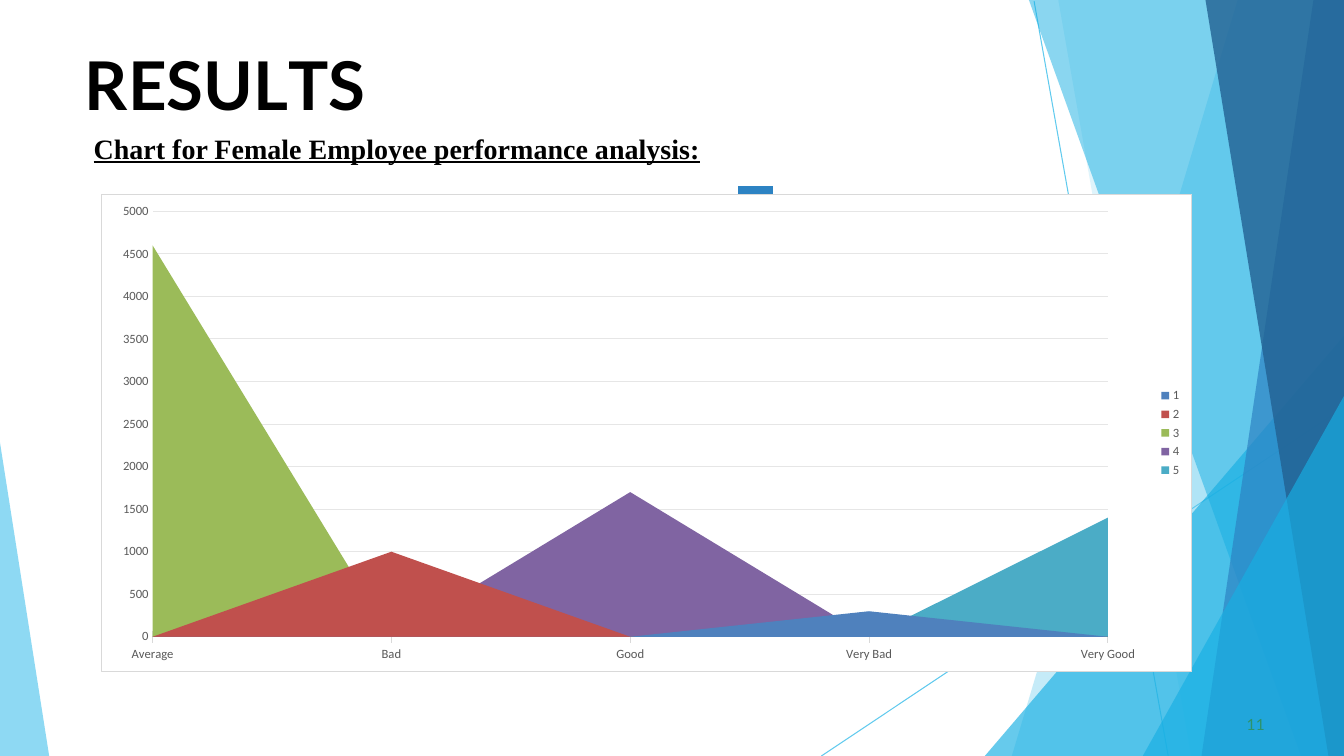
from dataclasses import dataclass

from lxml.etree import SubElement
from pptx import Presentation
from pptx.chart.data import CategoryChartData
from pptx.dml.color import RGBColor
from pptx.enum.chart import XL_CHART_TYPE as ChartType
from pptx.enum.chart import XL_LEGEND_POSITION as LegendPosition
from pptx.enum.chart import XL_TICK_MARK as TickMark
from pptx.enum.shapes import MSO_CONNECTOR as Connector
from pptx.enum.text import MSO_AUTO_SIZE as AutoSize
from pptx.oxml import parse_xml
from pptx.oxml.ns import nsdecls, qn
from pptx.util import Cm, Pt

BLACK = RGBColor(0x00, 0x00, 0x00)
WHITE = RGBColor(0xFF, 0xFF, 0xFF)
SKY = RGBColor(0x5F, 0xCA, 0xEE)
CYAN = RGBColor(0x17, 0xAF, 0xE3)
BLUE = RGBColor(0x2D, 0x83, 0xC3)
NAVY = RGBColor(0x22, 0x61, 0x92)
GREEN = RGBColor(0x2D, 0x93, 0x6B)
LABEL_GREY = RGBColor(0x59, 0x59, 0x59)
BORDER_GREY = RGBColor(0xD9, 0xD9, 0xD9)
GRID_GREY = RGBColor(0xE6, 0xE6, 0xE6)

WIDTH, HEIGHT = 33.87, 19.05
BOTTOM_RIGHT = (WIDTH, HEIGHT)
TOP_RIGHT = (WIDTH, 0)


@dataclass(frozen=True)
class Ray:
    start: tuple[float, float]
    end: tuple[float, float]


@dataclass(frozen=True)
class Facet:
    points: tuple[tuple[float, float], ...]
    color: RGBColor
    opacity: int


@dataclass(frozen=True)
class Rating:
    name: str
    category: str
    count: int
    color: RGBColor


RAYS = (
    Ray((26.06, 0.03), (29.44, HEIGHT)),
    Ray((WIDTH, 10.26), (20.7, HEIGHT)),
)

FACETS = (
    Facet((TOP_RIGHT, (31.19, 0), (25.5, HEIGHT), BOTTOM_RIGHT), SKY, 36),
    Facet((TOP_RIGHT, (26.67, 0), (30.02, HEIGHT), BOTTOM_RIGHT), SKY, 20),
    Facet(((WIDTH, 8.46), (24.82, HEIGHT), BOTTOM_RIGHT), CYAN, 66),
    Facet((TOP_RIGHT, (25.93, 0), (32.79, HEIGHT), BOTTOM_RIGHT), CYAN, 50),
    Facet((TOP_RIGHT, (33.1, 0), (30.28, HEIGHT), BOTTOM_RIGHT), BLUE, 70),
    Facet((TOP_RIGHT, (30.38, 0), (33.48, HEIGHT), BOTTOM_RIGHT), NAVY, 80),
    Facet(((WIDTH, 9.98), (28.8, HEIGHT), BOTTOM_RIGHT), CYAN, 66),
    Facet(((0, 11.15), (0, HEIGHT), (1.24, HEIGHT)), SKY, 70),
    Facet(((18.59, 4.7), (19.48, 4.7), (19.48, 5.61), (18.59, 5.61)), BLUE, 100),
)

CATEGORIES = ("Average", "Bad", "Good", "Very Bad", "Very Good")
RATINGS = (
    Rating("1", "Very Bad", 300, RGBColor(0x4F, 0x81, 0xBD)),
    Rating("2", "Bad", 1000, RGBColor(0xC0, 0x50, 0x4D)),
    Rating("3", "Average", 4600, RGBColor(0x9B, 0xBB, 0x59)),
    Rating("4", "Good", 1700, RGBColor(0x80, 0x64, 0xA2)),
    Rating("5", "Very Good", 1400, RGBColor(0x4B, 0xAC, 0xC6)),
)


def draw_ray(page, ray: Ray) -> None:
    line = page.shapes.add_connector(
        Connector.STRAIGHT, *(Cm(value) for value in ray.start + ray.end))
    line.line.color.rgb = SKY
    line.line.width = Pt(0.75)
    SubElement(line._element.spPr, qn("a:effectLst"))


def draw_facet(page, facet: Facet) -> None:
    points = [(Cm(x), Cm(y)) for x, y in facet.points]
    builder = page.shapes.build_freeform(*points[0])
    builder.add_line_segments(points[1:], close=True)
    shape = builder.convert_to_shape()
    shape.shadow.inherit = False
    shape.fill.solid()
    shape.fill.fore_color.rgb = facet.color
    shape.line.fill.background()
    if facet.opacity < 100:
        color = shape._element.spPr.find(qn("a:solidFill"))[0]
        SubElement(color, qn("a:alpha"), val=str(facet.opacity * 1000))


def add_text(page, spans: tuple[tuple[str, float], ...], place: tuple[float, ...], *,
             size: float, font: str, color: RGBColor = BLACK, bold: bool = False,
             underline: bool = False, flush: bool = False, indent: float = 0,
             before: float = 0) -> None:
    box = page.shapes.add_textbox(*(Cm(value) for value in place))
    frame = box.text_frame
    frame.word_wrap = True
    frame.auto_size = AutoSize.SHAPE_TO_FIT_TEXT
    if flush:
        frame.margin_left = frame.margin_right = frame.margin_bottom = 0
        frame.margin_top = Cm(0.03)
    para = frame.paragraphs[0]
    para.space_before = Pt(before)
    para._p.get_or_add_pPr().set("marL", str(Cm(indent)))
    for text, spacing in spans:
        span = para.add_run()
        span.text = text
        span.font.size = Pt(size)
        span.font.name = font
        span.font.color.rgb = color
        span.font.bold = bold
        span.font.underline = underline
        if spacing:
            span._r.get_or_add_rPr().set("spc", str(round(spacing * 100)))


def style_font(font, size: float, color: RGBColor) -> None:
    font.name = "Calibri"
    font.size = Pt(size)
    font.color.rgb = color


def add_rating_chart(page) -> None:
    data = CategoryChartData()
    data.categories = CATEGORIES
    for rating in RATINGS:
        data.add_series(rating.name, [
            rating.count if category == rating.category else 0
            for category in CATEGORIES])
    chart = page.shapes.add_chart(
        ChartType.AREA, Cm(2.54), Cm(4.88), Cm(27.51), Cm(12.06), data).chart
    chart.has_title = False
    style_font(chart.font, 10, BLACK)
    for series, rating in zip(chart.plots[0].series, RATINGS):
        series.format.fill.solid()
        series.format.fill.fore_color.rgb = rating.color
        series.format.line.fill.background()

    chart.has_legend = True
    chart.legend.position = LegendPosition.RIGHT
    chart.legend.include_in_layout = False
    for part in (chart.legend, chart.category_axis.tick_labels,
                 chart.value_axis.tick_labels):
        style_font(part.font, 9, LABEL_GREY)

    categories, values = chart.category_axis, chart.value_axis
    categories.has_major_gridlines = False
    categories.major_tick_mark = TickMark.CROSS
    values.minimum_scale, values.maximum_scale, values.major_unit = 0, 5000, 500
    values.major_tick_mark = TickMark.NONE
    values.has_major_gridlines = True
    values.format.line.fill.background()
    for line, color in ((categories.format.line, BORDER_GREY),
                        (values.major_gridlines.format.line, GRID_GREY)):
        line.color.rgb = color
        line.width = Pt(0.75)
    values._element.find(qn("c:crossBetween")).set("val", "midCat")

    root = chart._chartSpace
    root.find(qn("c:chart")).addnext(parse_xml(
        f'<c:spPr {nsdecls("c", "a")}>'
        f'<a:solidFill><a:srgbClr val="{WHITE}"/></a:solidFill>'
        f'<a:ln w="{Pt(0.75)}"><a:solidFill><a:srgbClr val="{BORDER_GREY}"/>'
        '</a:solidFill></a:ln></c:spPr>'))
    plot_area = root.find(".//" + qn("c:plotArea"))
    for old in plot_area.findall(qn("c:layout")):
        plot_area.remove(old)
    layout = parse_xml(f'<c:layout {nsdecls("c")}><c:manualLayout/></c:layout>')
    settings = {"layoutTarget": "inner", "xMode": "edge", "yMode": "edge",
                "x": 0.047, "y": 0.036, "w": 0.876, "h": 0.891}
    for name, value in settings.items():
        SubElement(layout[0], qn(f"c:{name}"), val=str(value))
    plot_area.insert(0, layout)


def main() -> None:
    deck = Presentation()
    deck.slide_width, deck.slide_height = Cm(WIDTH), Cm(HEIGHT)
    page = deck.slides.add_slide(deck.slide_layouts[6])
    for ray in RAYS:
        draw_ray(page, ray)
    for facet in FACETS:
        draw_facet(page, facet)
    title = (("R", 0), ("E", -0.4), ("S", 0.1), ("U", -0.3), ("L", -4), ("TS", 0))
    add_text(page, title, (2.11, 1.07, 29.67, 2.11), size=48, font="Lato",
             bold=True, flush=True, indent=0.03, before=1.1)
    add_text(page, (("11", 0.1),), (31.32, 17.98, 0.64, 0.53), size=11, font="Lato",
             color=GREEN, flush=True, indent=0.1, before=0.6)
    add_text(page, (("Chart for Female Employee performance analysis:", 0),),
             (2.11, 3.18, 16.51, 1.12), size=20, font="Times New Roman",
             bold=True, underline=True)
    add_rating_chart(page)
    deck.save("out.pptx")


if __name__ == "__main__":
    main()
